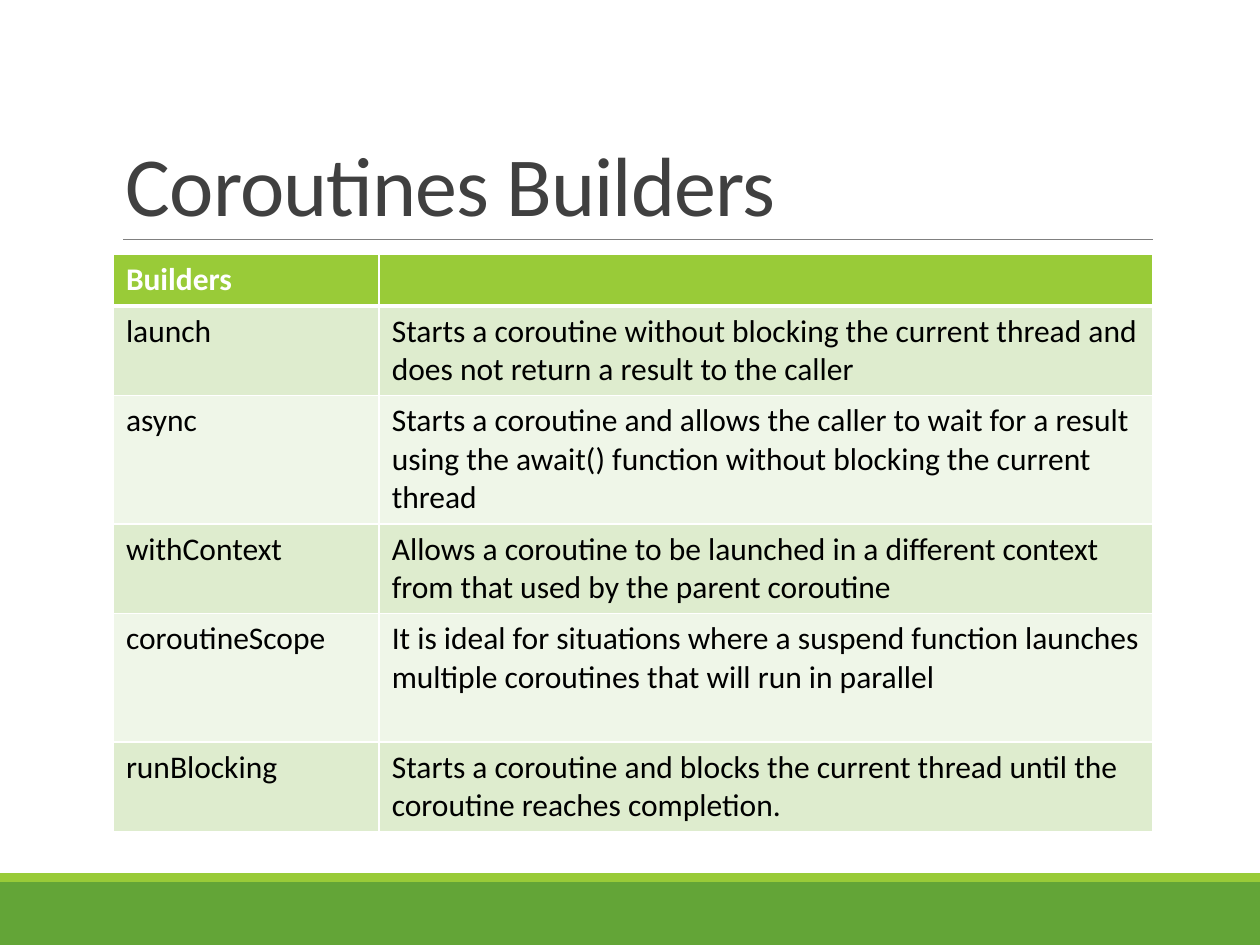
"""Build the Coroutines Builders slide."""
from dataclasses import dataclass

from lxml.etree import SubElement
from pptx import Presentation
from pptx.dml.color import RGBColor
from pptx.enum.shapes import MSO_CONNECTOR, MSO_SHAPE
from pptx.enum.text import MSO_ANCHOR
from pptx.oxml.ns import qn
from pptx.slide import Slide
from pptx.table import _Cell
from pptx.text.text import _Paragraph, _Run
from pptx.util import Inches, Pt

FONT = "Calibri"
WHITE = RGBColor(0xFF, 0xFF, 0xFF)
BLACK = RGBColor(0, 0, 0)
TITLE_GRAY = RGBColor(0x40, 0x40, 0x40)
RULE_GRAY = RGBColor(0x80, 0x80, 0x80)
DARK_GREEN = RGBColor(0x63, 0xA5, 0x37)
LIME = RGBColor(0x99, 0xCB, 0x38)
ROW_FILLS = (RGBColor(0xDE, 0xEC, 0xCE), RGBColor(0xEF, 0xF6, 0xE8))


@dataclass(frozen=True)
class Band:
    top: float
    height: float
    color: RGBColor


@dataclass(frozen=True)
class Builder:
    name: str
    description: str
    height: float


BANDS = (Band(7, 0.5, DARK_GREEN), Band(6.93, 0.07, LIME))
HEADER = Builder("Builders", "", 0.41)
BUILDERS = (
    Builder("launch", "Starts a coroutine without blocking the current thread and "
            "does not return a result to the caller", 0.71),
    Builder("async", "Starts a coroutine and allows the caller to wait for a result "
            "using the await() function without blocking the current thread", 1.02),
    Builder("withContext", "Allows a coroutine to be launched in a different context "
            "from that used by the parent coroutine", 0.71),
    Builder("coroutineScope", "It is ideal for situations where a suspend function "
            "launches multiple coroutines that will run in parallel", 1.02),
    Builder("runBlocking", "Starts a coroutine and blocks the current thread until the "
            "coroutine reaches completion.", 0.71),
)
COLUMN_WIDTHS = (2.11, 6.14)


def add_run(paragraph: _Paragraph, text: str, size: float, color: RGBColor,
            bold: bool = False) -> _Run:
    run = paragraph.add_run()
    run.text = text
    run.font.name = FONT
    run.font.size = Pt(size)
    run.font.bold = bold
    run.font.color.rgb = color
    return run


def draw_band(slide: Slide, band: Band) -> None:
    stripe = slide.shapes.add_shape(
        MSO_SHAPE.RECTANGLE, 0, Inches(band.top), Inches(10), Inches(band.height))
    stripe.shadow.inherit = False
    stripe.fill.solid()
    stripe.fill.fore_color.rgb = band.color
    stripe.line.fill.background()


def draw_title(slide: Slide) -> None:
    rule = slide.shapes.add_connector(
        MSO_CONNECTOR.STRAIGHT, Inches(0.98), Inches(1.9), Inches(9.15), Inches(1.9))
    rule.line.color.rgb = RULE_GRAY
    rule.line.width = Pt(0.5)
    SubElement(rule._element.spPr, qn("a:effectLst"))

    title = slide.shapes.add_textbox(
        Inches(0.9), Inches(0.31), Inches(8.25), Inches(1.59)).text_frame
    title.word_wrap = True
    title.vertical_anchor = MSO_ANCHOR.BOTTOM
    paragraph = title.paragraphs[0]
    paragraph.line_spacing = 0.85
    run = add_run(paragraph, "Coroutines Builders", 48, TITLE_GRAY)
    run.font._element.set("spc", "-50")


def set_borders(cell: _Cell, top: float, bottom: float) -> None:
    properties = cell._tc.get_or_add_tcPr()
    for position, (side, width) in enumerate(
            (("lnL", 1), ("lnR", 1), ("lnT", top), ("lnB", bottom))):
        border = SubElement(properties, qn(f"a:{side}"), w=str(Pt(width)))
        fill = SubElement(border, qn("a:solidFill"))
        SubElement(fill, qn("a:srgbClr"), val=str(WHITE))
        properties.insert(position, border)


def draw_builders(slide: Slide) -> None:
    rows = (HEADER, *BUILDERS)
    table = slide.shapes.add_table(
        len(rows), len(COLUMN_WIDTHS), Inches(0.9), Inches(2.02),
        Inches(sum(COLUMN_WIDTHS)), Inches(sum(row.height for row in rows))).table
    for column, width in zip(table.columns, COLUMN_WIDTHS):
        column.width = Inches(width)
    for index, builder in enumerate(rows):
        table.rows[index].height = Inches(builder.height)
        is_header = index == 0
        for column, text in enumerate((builder.name, builder.description)):
            cell = table.cell(index, column)
            cell.fill.solid()
            cell.fill.fore_color.rgb = LIME if is_header else ROW_FILLS[(index - 1) % 2]
            set_borders(cell, 3 if index == 1 else 1, 3 if is_header else 1)
            if text:
                add_run(cell.text_frame.paragraphs[0], text, 18,
                        WHITE if is_header else BLACK, is_header)


def main() -> None:
    presentation = Presentation()
    presentation.slide_width = Inches(10)
    presentation.slide_height = Inches(7.5)
    slide = presentation.slides.add_slide(presentation.slide_layouts[6])
    for band in BANDS:
        draw_band(slide, band)
    draw_title(slide)
    draw_builders(slide)
    presentation.save("out.pptx")


if __name__ == "__main__":
    main()
